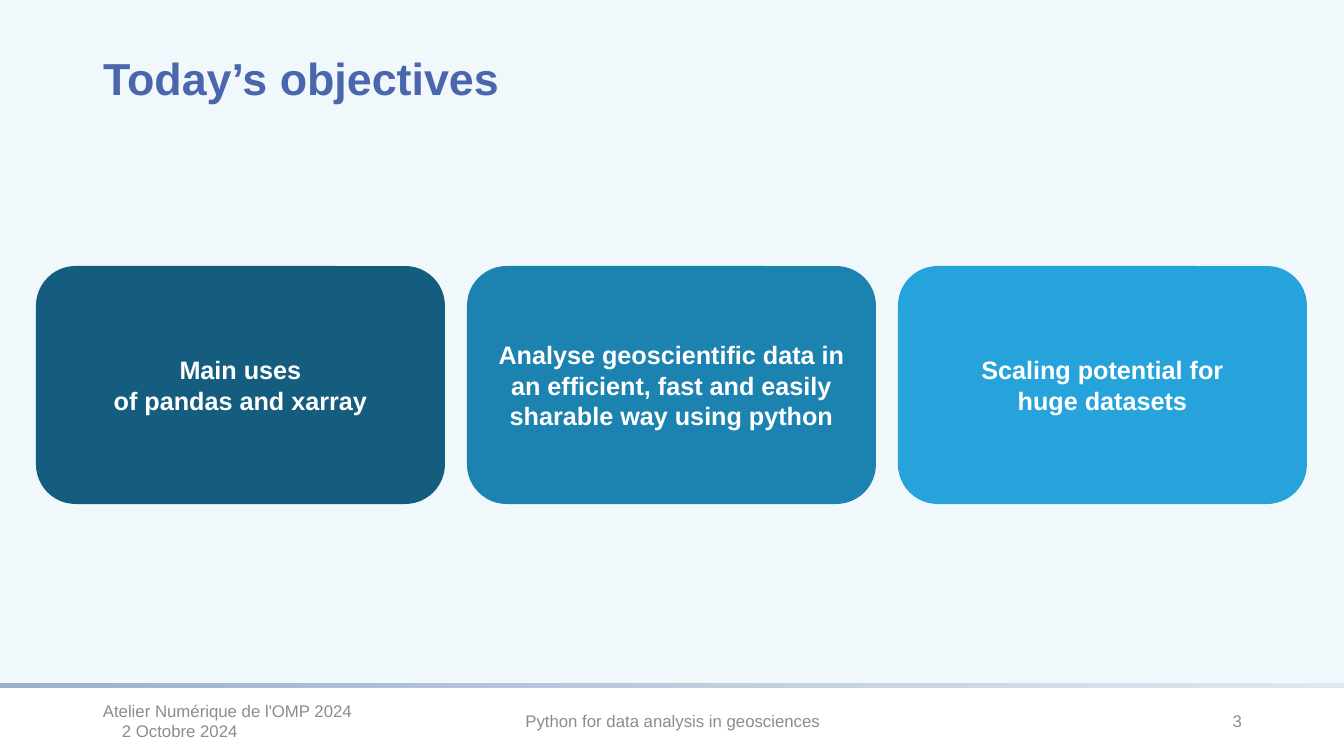
from dataclasses import dataclass

from pptx import Presentation
from pptx.dml.color import RGBColor
from pptx.enum.shapes import MSO_SHAPE as SHP
from pptx.enum.text import MSO_ANCHOR as ANC, MSO_AUTO_SIZE as FIT, PP_ALIGN as AL
from pptx.util import Emu, Pt

EMU_PER_PX = 12192000 / 1344
SLIDE_W, SLIDE_H = 1344, 756
CARD_LEFT, CARD_TOP, CARD_W, CARD_H, CARD_PITCH = 36, 266, 409, 238, 431
FOOT_TOP, FOOT_H = 701, 40
HANG = 19


@dataclass(frozen=True)
class Card:
    text: str
    fill: str


@dataclass(frozen=True)
class Footer:
    text: str
    left: int
    width: int
    align: AL
    hang: int = 0


CARDS = [
    Card("Main uses\vof pandas and xarray", "145D7E"),
    Card("Analyse geoscientific data in an efficient, fast and easily "
         "sharable way using python", "1C82B0"),
    Card("Scaling potential for\vhuge datasets", "27A3DC"),
]
FOOTERS = [
    Footer("Atelier Numérique de l'OMP 2024\v2 Octobre 2024", 93, 302, AL.LEFT, HANG),
    Footer("Python for data analysis in geosciences", 446, 454, AL.CENTER),
    Footer("3", 950, 302, AL.RIGHT),
]
TITLE_FMT = {"size": Pt(32), "bold": True, "name": "Arial"}
CARD_FMT = {"size": Pt(18), "bold": True, "name": "Arial"}
FOOT_FMT = {"size": Pt(12), "bold": False, "name": "Arial"}


def px(n: int) -> Emu:
    return Emu(round(n * EMU_PER_PX))


def rgb(color: str) -> RGBColor:
    return RGBColor.from_string(color)


def write(sp, text: str, fmt: dict, color: str, align: AL):
    tf = sp.text_frame
    for key, value in {"word_wrap": True, "auto_size": FIT.NONE,
                       "vertical_anchor": ANC.MIDDLE}.items():
        setattr(tf, key, value)
    p = tf.paragraphs[0]
    p.text = text
    p.alignment = align
    for r in p.runs:
        for key, value in fmt.items():
            setattr(r.font, key, value)
        r.font.color.rgb = rgb(color)
    return p


def add_box(s, kind: SHP, left: int, top: int, width: int, height: int):
    sp = s.shapes.add_shape(kind, px(left), px(top), px(width), px(height))
    sp.shadow.inherit = False
    sp.line.fill.background()
    return sp


def add_backdrop(s) -> None:
    bar = add_box(s, SHP.RECTANGLE, 0, 683, SLIDE_W, 5)
    bar.fill.gradient()
    bar.fill.gradient_angle = 0
    for stop, color in zip(bar.fill.gradient_stops, ("99B0CF", "E1E7EF")):
        stop.color.rgb = rgb(color)
    for stop, position in zip(bar.fill.gradient_stops, (0, 1)):
        stop.position = position
    panel = add_box(s, SHP.RECTANGLE, 0, 0, SLIDE_W, 683)
    panel.fill.solid()
    panel.fill.fore_color.rgb = rgb("F1F8FC")


def add_title(s, text: str) -> None:
    sp = s.shapes.title
    for key, value in {"left": 93, "top": 40, "width": 1159, "height": 82}.items():
        setattr(sp, key, px(value))
    p = write(sp, text, TITLE_FMT, "4A66AC", AL.LEFT)
    p.line_spacing = 0.9
    s.shapes._spTree.append(sp._element)


def add_footer(s, footer: Footer) -> None:
    sp = s.shapes.add_textbox(px(footer.left), px(FOOT_TOP), px(footer.width), px(FOOT_H))
    p = write(sp, footer.text, FOOT_FMT, "8C8C8C", footer.align)
    if footer.hang:
        pPr = p._p.get_or_add_pPr()
        pPr.set("marL", str(px(footer.hang)))
        pPr.set("indent", str(-px(footer.hang)))


def add_card(s, index: int, card: Card) -> None:
    sp = add_box(s, SHP.ROUNDED_RECTANGLE, CARD_LEFT + index * CARD_PITCH,
                 CARD_TOP, CARD_W, CARD_H)
    sp.fill.solid()
    sp.fill.fore_color.rgb = rgb(card.fill)
    write(sp, card.text, CARD_FMT, "FFFFFF", AL.CENTER)


def main() -> None:
    prs = Presentation()
    prs.slide_width, prs.slide_height = px(SLIDE_W), px(SLIDE_H)
    s = prs.slides.add_slide(prs.slide_layouts[5])
    add_backdrop(s)
    add_title(s, "Today’s objectives")
    for footer in FOOTERS:
        add_footer(s, footer)
    for index, card in enumerate(CARDS):
        add_card(s, index, card)
    prs.save("out.pptx")


if __name__ == "__main__":
    main()
